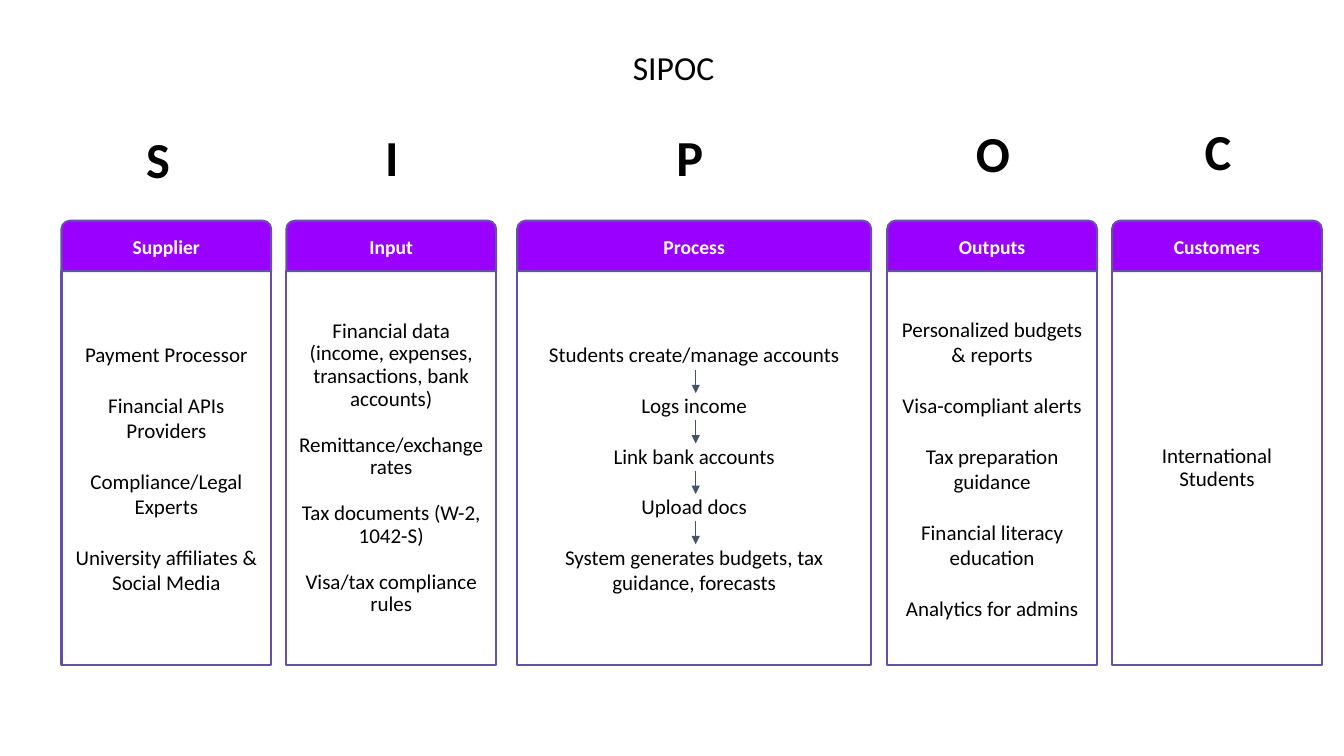
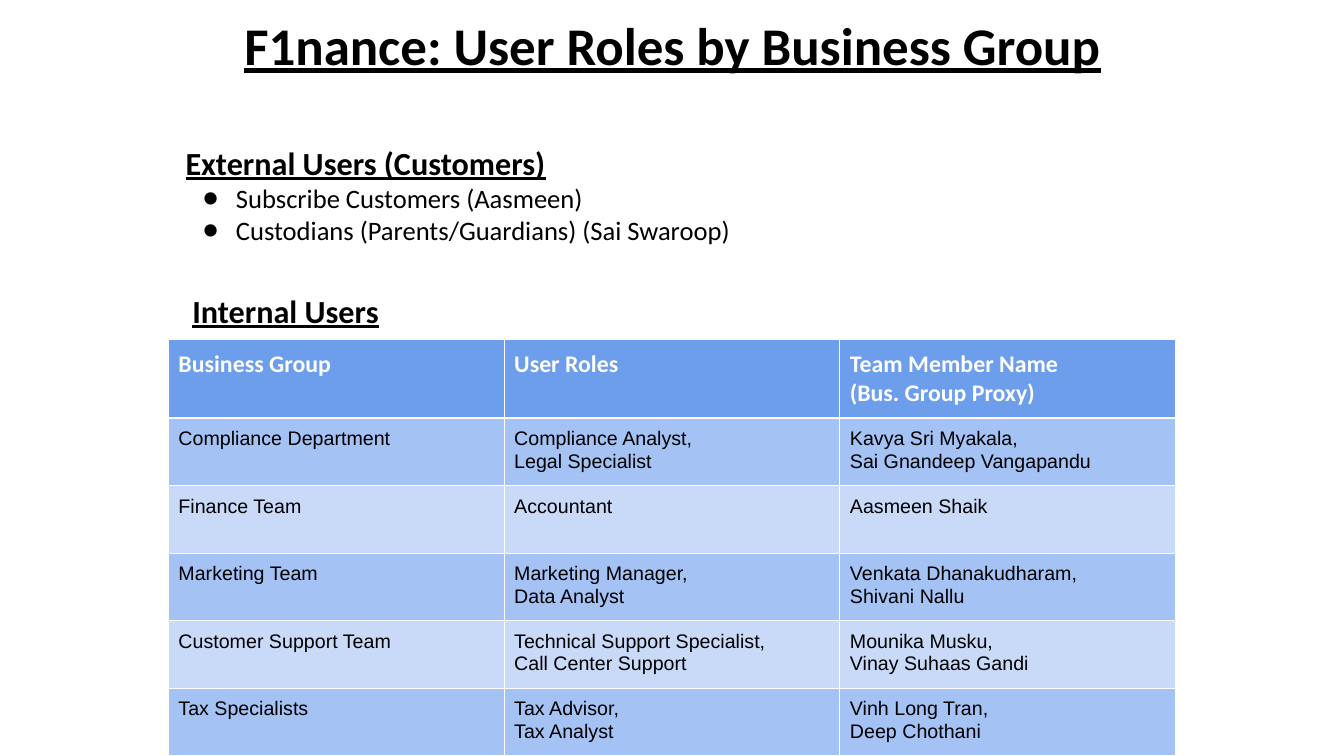
from dataclasses import dataclass

from lxml.etree import SubElement
from pptx import Presentation
from pptx.dml.color import RGBColor
from pptx.enum.shapes import MSO_CONNECTOR, MSO_SHAPE
from pptx.enum.text import MSO_ANCHOR, MSO_AUTO_SIZE, PP_ALIGN
from pptx.oxml.ns import qn
from pptx.util import Inches, Pt


@dataclass(frozen=True)
class Theme:
    font: str = "Calibri"
    table_font: str = "Arial"
    black: str = "000000"
    white: str = "FFFFFF"
    purple: str = "9900FF"
    outline: str = "674EA7"
    arrow: str = "44546A"
    table_head: str = "6D9EEB"
    table_bands: tuple = ("A4C2F4", "C9DAF8")
    chart_title: float = 24
    slide_title: float = 37.8
    letter: float = 36
    heading: float = 23
    bullet: float = 19
    card_head: float = 14
    card_body: float = 15
    table_head_size: float = 17
    table_body_size: float = 14


THEME = Theme()
LINE_HEIGHT = 1.22
CARD_TOP, HEAD_HEIGHT, BODY_HEIGHT = 2.19, 0.5, 3.91

SIPOC = [
    {"letter": ("S", 1.35, 1.22), "left": 0.61, "width": 2.08, "head": "Supplier", "spacing": 1.0,
     "items": ["Payment Processor", "Financial APIs Providers", "Compliance/Legal Experts",
               "University affiliates & Social Media"]},
    {"letter": ("I", 3.72, 1.2), "left": 2.84, "width": 2.08, "head": "Input", "spacing": 0.9,
     "items": ["Financial data (income, expenses, transactions, bank accounts)",
               "Remittance/exchange rates", "Tax documents (W-2, 1042-S)",
               "Visa/tax compliance rules"]},
    {"letter": ("P", 6.61, 1.2), "left": 5.13, "width": 3.51, "head": "Process", "spacing": 1.0,
     "items": ["Students create/manage accounts", "Logs income", "Link bank accounts",
               "Upload docs", "System generates budgets, tax guidance, forecasts"]},
    {"letter": ("O", 9.58, 1.16), "left": 8.8, "width": 2.08, "head": "Outputs", "spacing": 1.0,
     "items": ["Personalized budgets & reports", "Visa-compliant alerts",
               "Tax preparation guidance", "Financial literacy education",
               "Analytics for admins"]},
    {"letter": ("C", 11.85, 1.14), "left": 11.03, "width": 2.08, "head": "Customers", "spacing": 0.9,
     "items": ["International Students"]},
]

ROLES = [
    ("Business Group", "User Roles", "Team Member Name\n(Bus. Group Proxy)"),
    ("Compliance Department", "Compliance Analyst,\nLegal Specialist",
     "Kavya Sri Myakala,\nSai Gnandeep Vangapandu"),
    ("Finance Team", "Accountant", "Aasmeen Shaik"),
    ("Marketing Team", "Marketing Manager,\nData Analyst",
     "Venkata Dhanakudharam,\nShivani Nallu"),
    ("Customer Support Team", "Technical Support Specialist,\nCall Center Support",
     "Mounika Musku,\nVinay Suhaas Gandi"),
    ("Tax Specialists", "Tax Advisor,\nTax Analyst", "Vinh Long Tran,\nDeep Chothani"),
]


def set_attributes(target, values):
    for name, value in values.items():
        setattr(target, name, value)


def set_font(paragraph, size, color=THEME.black, name=THEME.font, bold=False, underline=False):
    for run in paragraph.runs:
        set_attributes(run.font, {"size": Pt(size), "name": name, "bold": bold,
                                  "underline": underline})
        run.font.color.rgb = RGBColor.from_string(color)


def write(shape, lines, size, anchor=MSO_ANCHOR.TOP, align=PP_ALIGN.LEFT, inset=0.1,
          spacing=1.0, gap=0, **font):
    frame = shape.text_frame
    frame.text = "\n".join(lines)
    set_attributes(frame, {"word_wrap": True, "auto_size": MSO_AUTO_SIZE.NONE,
                           "vertical_anchor": anchor,
                           "margin_left": Inches(0.1), "margin_right": Inches(0.1),
                           "margin_top": Inches(inset), "margin_bottom": Inches(inset)})
    for index, paragraph in enumerate(frame.paragraphs):
        set_attributes(paragraph, {"alignment": align, "line_spacing": spacing,
                                   "space_before": Pt(gap if index else 0)})
        set_font(paragraph, size, **font)


def place(shape, left, top, width, height):
    set_attributes(shape, {"left": Inches(left), "top": Inches(top),
                           "width": Inches(width), "height": Inches(height)})
    return shape


def add_text(slide, box, lines, size, **options):
    write(slide.shapes.add_textbox(*map(Inches, box)), lines, size, **options)


def add_panel(slide, kind, box, fill, lines, size, **options):
    shape = slide.shapes.add_shape(kind, *map(Inches, box))
    shape.shadow.inherit = False
    shape.fill.solid()
    shape.fill.fore_color.rgb = RGBColor.from_string(fill)
    shape.line.color.rgb = RGBColor.from_string(THEME.outline)
    shape.line.width = Pt(1.5)
    write(shape, lines, size, anchor=MSO_ANCHOR.MIDDLE, align=PP_ALIGN.CENTER, **options)


def add_column(slide, column):
    letter, letter_left, letter_top = column["letter"]
    left, width, spacing = column["left"], column["width"], column["spacing"]
    add_text(slide, (letter_left, letter_top, 0.62, 0.71), [letter], THEME.letter,
             inset=0.05, bold=True)
    add_panel(slide, MSO_SHAPE.RECTANGLE, (left, CARD_TOP + HEAD_HEIGHT, width, BODY_HEIGHT),
              THEME.white, column["items"], THEME.card_body, spacing=spacing,
              gap=round(THEME.card_body * LINE_HEIGHT * spacing, 1))
    add_panel(slide, MSO_SHAPE.ROUND_2_SAME_RECTANGLE, (left, CARD_TOP, width, HEAD_HEIGHT),
              THEME.purple, [column["head"]], THEME.card_head, color=THEME.white, bold=True)


def add_down_arrow(slide, x, top, length):
    arrow = slide.shapes.add_connector(MSO_CONNECTOR.STRAIGHT, Inches(x), Inches(top),
                                       Inches(x), Inches(top + length))
    arrow.line.color.rgb = RGBColor.from_string(THEME.arrow)
    arrow.line.width = Pt(0.75)
    SubElement(arrow.line._get_or_add_ln(), qn("a:tailEnd"), type="triangle")
    SubElement(arrow._element.spPr, qn("a:effectLst"))


def set_bullet(paragraph, left, hanging, symbol=None):
    properties = paragraph._p.get_or_add_pPr()
    properties.set("marL", str(Inches(left)))
    properties.set("indent", str(-Inches(hanging)))
    if symbol is None:
        SubElement(properties, qn("a:buNone"))
        return
    color = SubElement(properties, qn("a:buClr"))
    SubElement(color, qn("a:srgbClr"), val=THEME.black)
    SubElement(properties, qn("a:buFont"), typeface=THEME.font)
    SubElement(properties, qn("a:buChar"), char=symbol)


def set_borders(cell, **widths):
    properties = cell._tc.get_or_add_tcPr()
    for index, side in enumerate("LRTB"):
        line = SubElement(properties, qn(f"a:ln{side}"), w=str(Pt(widths.get(side, 0.75))))
        fill = SubElement(line, qn("a:solidFill"))
        SubElement(fill, qn("a:srgbClr"), val=THEME.white)
        properties.insert(index, line)


def fill_cell(cell, text, row):
    is_head = row == 0
    cell.text = text
    set_attributes(cell, {"margin_left": Inches(0.1), "margin_right": Inches(0.1),
                          "margin_top": Inches(0.1), "margin_bottom": Inches(0.1)})
    font = ({"size": THEME.table_head_size, "color": THEME.white, "bold": True} if is_head
            else {"size": THEME.table_body_size, "name": THEME.table_font})
    for paragraph in cell.text_frame.paragraphs:
        set_font(paragraph, **font)
    cell.fill.solid()
    color = THEME.table_head if is_head else THEME.table_bands[(row - 1) % 2]
    cell.fill.fore_color.rgb = RGBColor.from_string(color)
    set_borders(cell, T=2.25 if row == 1 else 0.75, B=2.25 if is_head else 0.75)


def add_roles_table(slide, left, top, column_width, head_height, row_height):
    columns = len(ROLES[0])
    height = head_height + row_height * (len(ROLES) - 1)
    table = slide.shapes.add_table(len(ROLES), columns, Inches(left), Inches(top),
                                   Inches(column_width * columns), Inches(height)).table
    for column in table.columns:
        column.width = Inches(column_width)
    for row, texts in enumerate(ROLES):
        table.rows[row].height = Inches(row_height if row else head_height)
        for column, text in enumerate(texts):
            fill_cell(table.cell(row, column), text, row)


def build_sipoc(presentation):
    slide = presentation.slides.add_slide(presentation.slide_layouts.get_by_name("Title Only"))
    title = place(slide.shapes.title, 4.09, 0.42, 5.18, 0.5)
    write(title, ["SIPOC"], THEME.chart_title, align=PP_ALIGN.CENTER, inset=0.05)
    for column in SIPOC:
        add_column(slide, column)
    for step in range(4):
        add_down_arrow(slide, 6.9, 3.67 + 0.5 * step, 0.23)


def build_roles(presentation):
    layout = presentation.slide_layouts.get_by_name("Title and Content")
    slide = presentation.slides.add_slide(layout)
    title = place(slide.shapes.title, 1.67, 0.23, 10, 0.58)
    write(title, ["F1nance: User Roles by Business Group"], THEME.slide_title,
          anchor=MSO_ANCHOR.BOTTOM, align=PP_ALIGN.CENTER, inset=0.05, spacing=0.9,
          bold=True, underline=True)
    body = place(slide.placeholders[1], 1.74, 1.32, 6.8, 1.23)
    write(body, ["External Users (Customers)", "Subscribe Customers (Aasmeen)",
                 "Custodians (Parents/Guardians) (Sai Swaroop)"], THEME.bullet)
    heading, *bullets = body.text_frame.paragraphs
    set_font(heading, THEME.heading, bold=True, underline=True)
    set_bullet(heading, 0, 0)
    for paragraph in bullets:
        set_bullet(paragraph, 0.5, 0.33, "●")
    add_text(slide, (1.81, 2.79, 2.13, 0.59), ["Internal Users"], THEME.heading,
             bold=True, underline=True)
    add_roles_table(slide, 1.67, 3.37, 3.33, 0.76, 0.67)


def main():
    presentation = Presentation()
    set_attributes(presentation, {"slide_width": Inches(13.33), "slide_height": Inches(7.5)})
    build_sipoc(presentation)
    build_roles(presentation)
    presentation.save("out.pptx")


if __name__ == "__main__":
    main()
